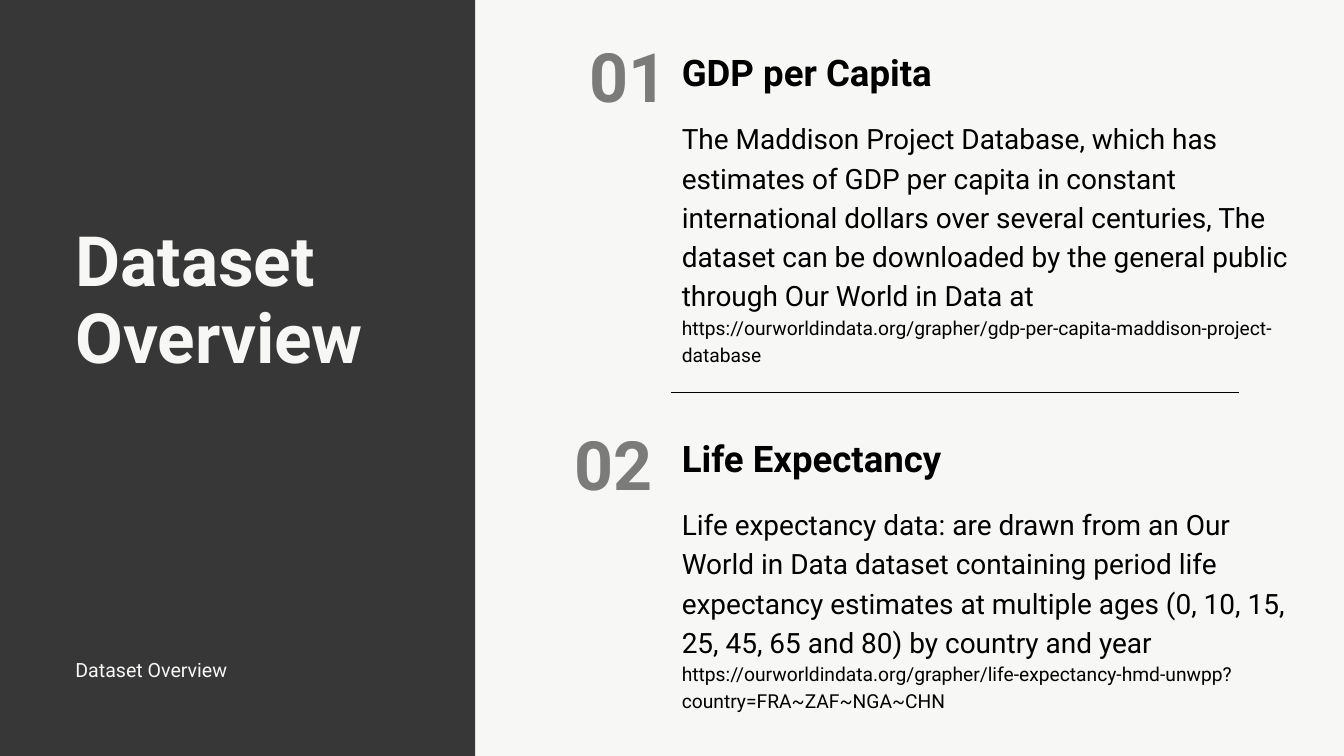
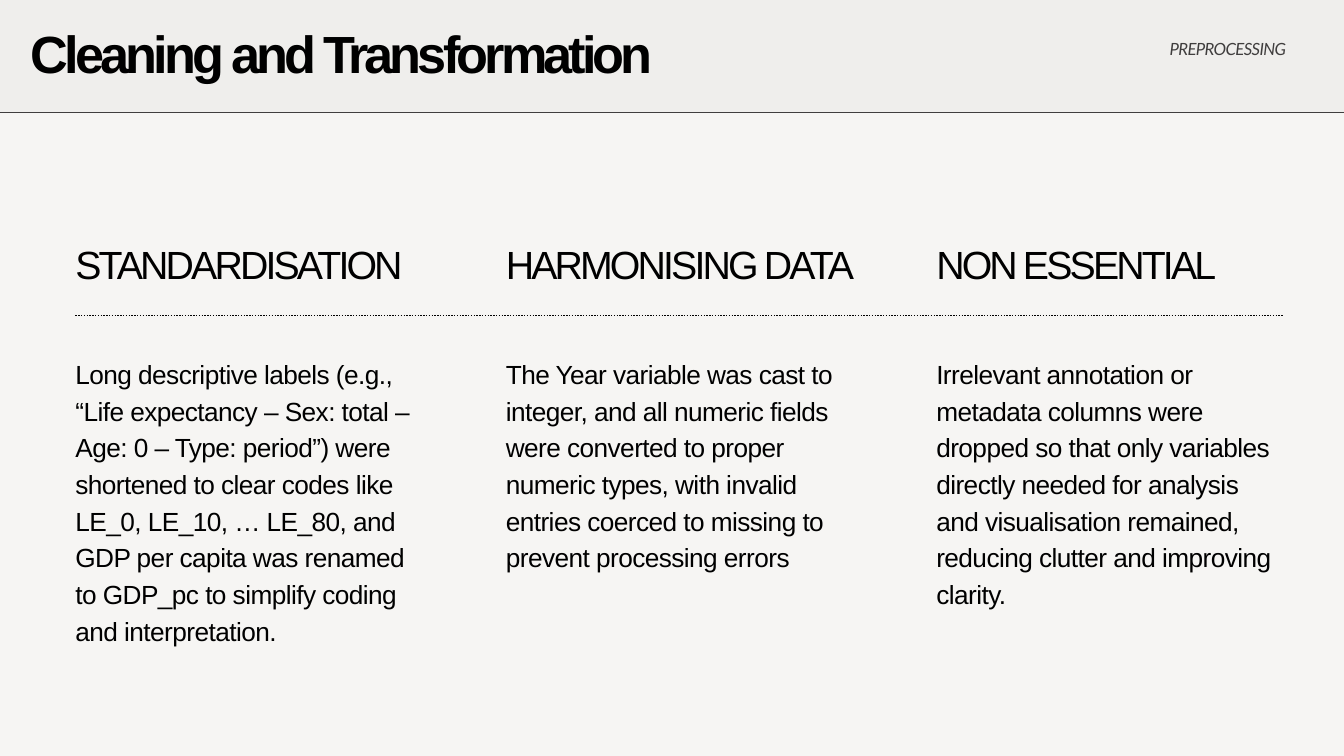
import dataclasses
import lxml.etree
import pptx
import pptx.dml.color
import pptx.enum.dml
import pptx.enum.shapes
import pptx.enum.text
import pptx.oxml.ns
import pptx.util

Cm = pptx.util.Cm
Pt = pptx.util.Pt
RGB = pptx.dml.color.RGBColor.from_string
ALIGN = pptx.enum.text.PP_ALIGN
RECT = pptx.enum.shapes.MSO_SHAPE.RECTANGLE
qn = pptx.oxml.ns.qn


@dataclasses.dataclass
class Type:
    size: float
    lead: float
    font: str
    color: str = "000000"
    bold: bool = False
    italic: bool = False
    track: float = 0
    alpha: int = 100


class Theme:
    ink = "000000"
    dark = "373737"
    light = "F7F7F6"
    paper = "F6F5F3"
    band = "EFEEEC"
    grey = "403E3E"
    cover = Type(74.3, 81.7, "Roboto", light, bold=True)
    number = Type(73, 80.3, "Roboto", bold=True, alpha=50)
    head = Type(39.2, 47, "Roboto", bold=True)
    body = Type(30, 42, "Roboto")
    source = Type(20.6, 28.9, "Roboto")
    footer = Type(21, 29.4, "Roboto", light)
    title = Type(56, 47.6, "Arial", bold=True, track=-4.2)
    label = Type(42.1, 58.9, "Arial", track=-3.1)
    text = Type(28.1, 39.3, "Arial", track=-0.6)
    tag = Type(18, 25.2, "Lato", grey, italic=True, track=-0.7)


def write(shape, box, parts, align=ALIGN.LEFT):
    """Place a text shape at box (cm) and fill it with (text, type) paragraphs."""
    shape.left, shape.top, shape.width, shape.height = map(Cm, box)
    frame = shape.text_frame
    frame.margin_left = frame.margin_top = 0
    frame.margin_right = frame.margin_bottom = 0
    frame.word_wrap = True
    frame.auto_size = pptx.enum.text.MSO_AUTO_SIZE.SHAPE_TO_FIT_TEXT
    frame.vertical_anchor = pptx.enum.text.MSO_ANCHOR.TOP
    for i, (words, kind) in enumerate(parts):
        para = frame.add_paragraph() if i else frame.paragraphs[0]
        para.alignment = align
        para.line_spacing = Pt(kind.lead)
        run = para.add_run()
        run.text = words
        font = run.font
        font.name, font.size = kind.font, Pt(kind.size)
        font.bold, font.italic = kind.bold, kind.italic
        font.color.rgb = RGB(kind.color)
        props = run._r.get_or_add_rPr()
        if kind.track:
            props.set("spc", str(round(kind.track * 100)))
        if kind.alpha < 100:
            fill = props.find(".//" + qn("a:srgbClr"))
            lxml.etree.SubElement(fill, qn("a:alpha"), val=str(kind.alpha * 1000))


def rule(slide, left, right, y, width):
    """Draw a level line, lengths in cm and width in points."""
    line = slide.shapes.add_connector(
        pptx.enum.shapes.MSO_CONNECTOR.STRAIGHT, Cm(left), Cm(y), Cm(right), Cm(y))
    line.line.color.rgb = RGB(Theme.ink)
    line.line.width = Pt(width)
    lxml.etree.SubElement(line.element.spPr, qn("a:effectLst"))
    return line


deck = pptx.Presentation()
deck.slide_width, deck.slide_height = Cm(50.8), Cm(28.58)
edge = 2.85

# Each slide: ground, block place, fill and outline, title place and type
frames = [
    (Theme.light, (0, 0, 17.96, 28.58), Theme.dark, None,
     "Dataset Overview", (edge, 8.49, 15.09, 5.79), Theme.cover),
    # The band bleeds past three edges, so only its lower outline shows
    (Theme.paper, (-2.03, -6.99, 57.84, 11.23), Theme.band, Theme.grey,
     "Cleaning and Transformation", (1.17, 1.5, 36.32, 1.85), Theme.title),
]
slides = []
for ground, place, fill, outline, words, box, kind in frames:
    slide = deck.slides.add_slide(deck.slide_layouts[5])
    slide.background.fill.solid()
    slide.background.fill.fore_color.rgb = RGB(ground)
    block = slide.shapes.add_shape(RECT, *map(Cm, place))
    block.shadow.inherit = False
    block.fill.solid()
    block.fill.fore_color.rgb = RGB(fill)
    if outline:
        block.line.color.rgb = RGB(outline)
        block.line.width = Pt(0.75)
    else:
        block.line.fill.background()
    title = slide.shapes.title
    block.element.addnext(title.element)  # bring the title above the block
    write(title, box, [(words, kind)])
    slides.append(slide)
overview, cleaning = slides

# Dataset overview
rule(overview, 25.35, 46.85, 14.84, 0.75)
sets = [
    ("01", 21.16, 1.57, "GDP per Capita", 9.25,
     "The Maddison Project Database, which has estimates of GDP per capita in "
     "constant international dollars over several centuries, The dataset can be "
     "downloaded by the general public through Our World in Data at",
     "https://ourworldindata.org/grapher/gdp-per-capita-maddison-project-database"),
    ("02", 20.6, 16.23, "Life Expectancy", 7.77,
     "Life expectancy data: are drawn from an Our World in Data dataset containing "
     "period life expectancy estimates at multiple ages (0, 10, 15, 25, 45, 65 and "
     "80) by country and year",
     "https://ourworldindata.org/grapher/life-expectancy-hmd-unwpp?country=FRA~ZAF~NGA~CHN"),
]
for i, (number, left, top, head, height, about, link) in enumerate(sets):
    y = 1.9 + i * 14.58
    for box, parts, align in [
        ((25.77, y, 23.34, 1.68), [(head, Theme.head)], ALIGN.LEFT),
        ((25.77, y + 2.5, 23.34, height),
         [(about, Theme.body), (link, Theme.source)], ALIGN.LEFT),
        ((left, top, 4.06, 2.9), [(number, Theme.number)], ALIGN.RIGHT),
    ]:
        write(overview.shapes.add_textbox(0, 0, 0, 0), box, parts, align)
write(overview.shapes.add_textbox(0, 0, 0, 0), (edge, 24.74, 9.19, 0.99),
      [("Dataset Overview", Theme.footer)])

# Cleaning and transformation
write(cleaning.shapes.add_textbox(0, 0, 0, 0), (43.68, 1.32, 4.93, 0.86),
      [("PREPROCESSING", Theme.tag)], ALIGN.RIGHT)
steps = [
    ("STANDARDISATION", 12.37,
     "Long descriptive labels (e.g., “Life expectancy – Sex: total – Age: 0 – Type: "
     "period”) were shortened to clear codes like LE_0, LE_10, … LE_80, and GDP per "
     "capita was renamed to GDP_pc to simplify coding and interpretation."),
    ("HARMONISING DATA", 9.63,
     "The Year variable was cast to integer, and all numeric fields were converted to "
     "proper numeric types, with invalid entries coerced to missing to prevent "
     "processing errors"),
    ("NON ESSENTIAL", 9.63,
     "Irrelevant annotation or metadata columns were dropped so that only variables "
     "directly needed for analysis and visualisation remained, reducing clutter and "
     "improving clarity."),
]
for i, (label, height, about) in enumerate(steps):
    x = edge + i * 16.27
    for box, part in [
        ((x, 8.79, 13.21, 2.01), (label, Theme.label)),
        ((x, 13.35, 13.21, height), (about, Theme.text)),
    ]:
        write(cleaning.shapes.add_textbox(0, 0, 0, 0), box, [part])
dots = rule(cleaning, edge, 48.49, 11.92, 1.5)
dots.line.dash_style = pptx.enum.dml.MSO_LINE.ROUND_DOT

deck.save("out.pptx")
